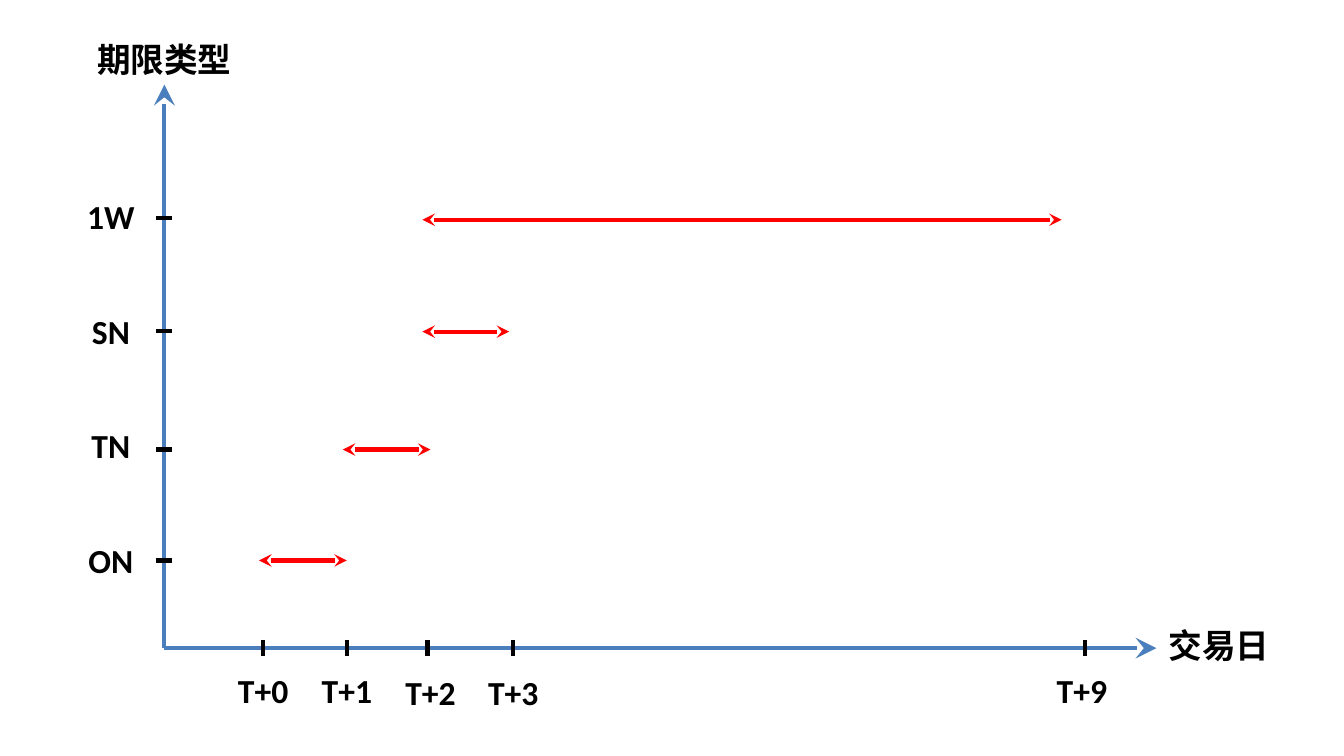
from dataclasses import dataclass

from lxml.etree import SubElement
from pptx import Presentation
from pptx.dml.color import RGBColor
from pptx.enum.shapes import MSO_CONNECTOR
from pptx.enum.text import MSO_ANCHOR, PP_ALIGN
from pptx.oxml.ns import qn
from pptx.util import Inches, Pt


@dataclass(frozen=True)
class Theme:
    axis: RGBColor = RGBColor(0x4B, 0x7E, 0xBC)
    ink: RGBColor = RGBColor(0, 0, 0)
    span: RGBColor = RGBColor(0xFF, 0, 0)
    latin: str = "Calibri"
    chinese: str = "Noto Sans CJK SC"
    text_size: Pt = Pt(24)
    line_width: Pt = Pt(3)


theme = Theme()


def add_line(start, end, color, heads=(), head_size="med"):
    """Draw a line; heads names the ends with arrows, headEnd before tailEnd."""
    line = page.shapes.add_connector(
        MSO_CONNECTOR.STRAIGHT, *map(Inches, (*start, *end)))
    line.line.color.rgb = color
    line.line.width = theme.line_width
    outline = line.line._get_or_add_ln()
    for head in heads:
        SubElement(outline, qn(f"a:{head}"),
                   type="stealth", w=head_size, len=head_size)
    SubElement(line._element.spPr, qn("a:effectLst"))


def add_label(text, center_x, center_y, width=0.71, font=theme.latin):
    height = 0.39
    box = page.shapes.add_textbox(
        Inches(center_x - width / 2), Inches(center_y - height / 2),
        Inches(width), Inches(height))
    frame = box.text_frame
    frame.word_wrap = True
    frame.vertical_anchor = MSO_ANCHOR.MIDDLE
    frame.margin_left = frame.margin_right = 0
    frame.margin_top = frame.margin_bottom = 0
    para = frame.paragraphs[0]
    para.alignment = PP_ALIGN.CENTER
    span = para.add_run()
    span.text = text
    span.font.name = font
    span.font.size = theme.text_size
    span.font.bold = True
    span.font.color.rgb = theme.ink
    SubElement(span.font._element, qn("a:ea"), typeface=font)


deck = Presentation()
deck.slide_width, deck.slide_height = Inches(13.33), Inches(7.5)
page = deck.slides.add_slide(deck.slide_layouts[6])

# Axes
origin_x, origin_y = 1.63, 6.43
half_tick = 0.08
for axis_end in ((11.47, origin_y), (origin_x, 0.84)):
    add_line((origin_x, origin_y), axis_end, theme.axis, ("tailEnd",), "lg")
add_label("交易日", 12.09, 6.4, 1.41, theme.chinese)
add_label("期限类型", 1.63, 0.59, 1.57, theme.chinese)

# Trading days: label, tick x, label centre x and y
days = [
    ("T+0", 2.61, 2.61, 6.85),
    ("T+1", 3.44, 3.44, 6.85),
    ("T+2", 4.24, 4.27, 6.87),
    ("T+3", 5.09, 5.09, 6.87),
    ("T+9", 10.76, 10.73, 6.85),
]
for name, tick_x, label_x, label_y in days:
    add_line((tick_x, origin_y - half_tick), (tick_x, origin_y + half_tick),
             theme.ink)
    add_label(name, label_x, label_y)

# Tenors: label, tick y, arrow y, arrow start and end; labels are evenly spaced
tenors = [
    ("1W", 2.16, 2.18, 4.19, 10.53),
    ("SN", 3.28, 3.29, 4.19, 5.05),
    ("TN", 4.46, 4.46, 3.4, 4.27),
    ("ON", 5.56, 5.56, 2.57, 3.44),
]
for row, (name, tick_y, arrow_y, start_x, end_x) in enumerate(tenors):
    add_line((origin_x + half_tick, tick_y), (origin_x - half_tick, tick_y),
             theme.ink)
    add_label(name, 1.1, 2.14 + 1.14 * row)
    add_line((start_x, arrow_y), (end_x, arrow_y), theme.span,
             ("headEnd", "tailEnd"))

deck.save("out.pptx")
